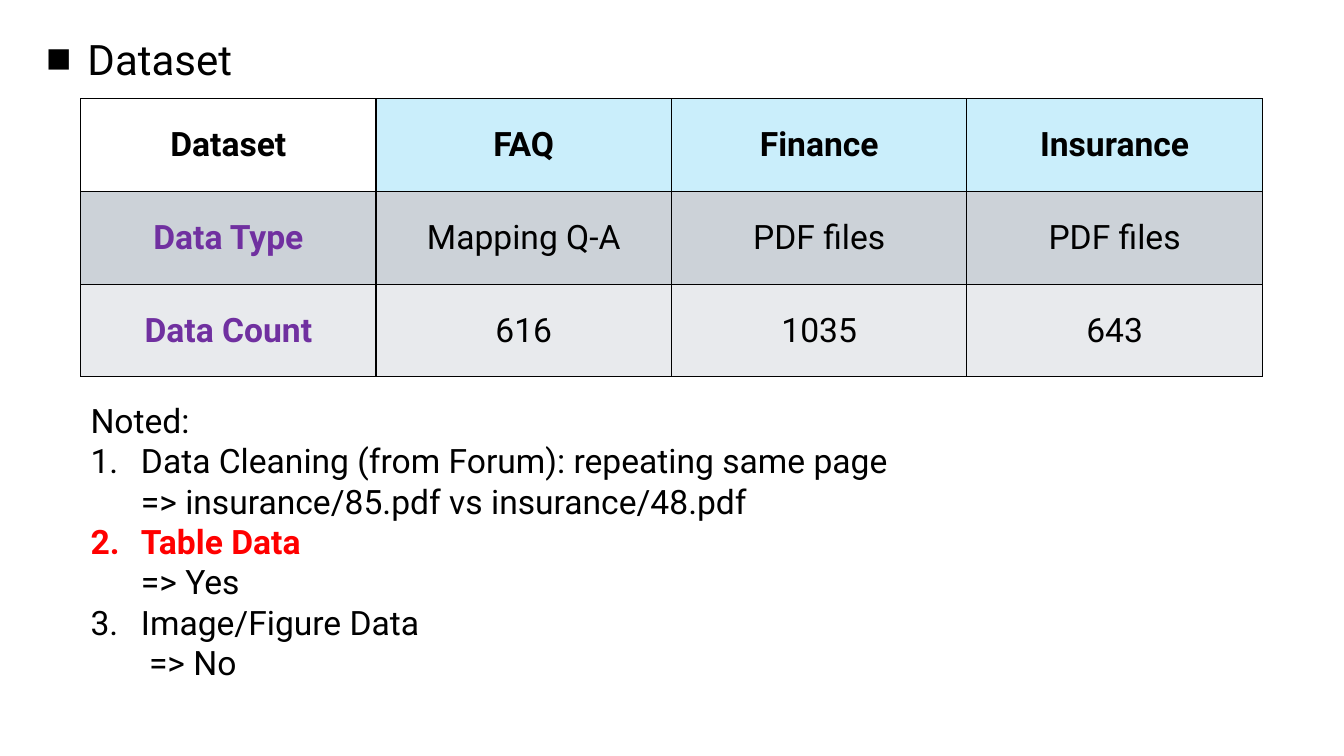
import pptx
import pptx.dml.color
import pptx.enum.text
import pptx.oxml
import pptx.oxml.ns
import pptx.util

RGBColor = pptx.dml.color.RGBColor
BLACK = RGBColor(0x00, 0x00, 0x00)
WHITE = RGBColor(0xFF, 0xFF, 0xFF)
RED = RGBColor(0xFF, 0x00, 0x00)
PURPLE = RGBColor(0x70, 0x30, 0xA0)
SKY = RGBColor(0xCA, 0xEE, 0xFB)
GREY = RGBColor(0xCC, 0xD2, 0xD8)
PALE_GREY = RGBColor(0xE8, 0xEA, 0xED)

FONT = "Roboto"
PX = 9144  # EMU in one px, 100 px to the inch
TITLE_SIZE, BODY_SIZE = 30, 24

TITLE = "Dataset"
TITLE_BOX = (36, 28, 1264, 61)
TITLE_INDENT = 41

TABLE_ROWS = [
    ("Dataset", "FAQ", "Finance", "Insurance"),
    ("Data Type", "Mapping Q-A", "PDF files", "PDF files"),
    ("Data Count", "616", "1035", "643"),
]
ROW_FILLS = [SKY, GREY, PALE_GREY]
TABLE_LEFT, TABLE_TOP = 80, 98
COLUMN_WIDTH, ROW_HEIGHT = 293, 92

NOTES_BOX = (80, 392, 1220, 293)
NUMBERED = '<a:buFont {} typeface="+mj-lt"/>', '<a:buAutoNum {} type="arabicPeriod"/>'
SQUARE = '<a:buFont {} typeface="Arial"/>', '<a:buChar {} char="■"/>'
# text, level, left margin, first-line indent, bullet, colour, bold
NOTES = [
    ("Noted:", 0, 0, 0, (), BLACK, False),
    ("Data Cleaning (from Forum): repeating same page", 0, 50, -50, NUMBERED, BLACK, False),
    ("=> insurance/85.pdf vs insurance/48.pdf", 1, 50, 0, (), BLACK, False),
    ("Table Data", 0, 50, -50, NUMBERED, RED, True),
    ("=> Yes", 1, 50, 0, (), BLACK, False),
    ("Image/Figure Data", 0, 50, -50, NUMBERED, BLACK, False),
    ("=> No", 0, 58, 0, (), BLACK, False),
]


def write(paragraph, text, size, color=BLACK, bold=False):
    paragraph.text = text
    font = paragraph.runs[0].font
    font.name = FONT
    font.size = pptx.util.Pt(size)
    font.color.rgb = color
    font.bold = bold


def indent(paragraph, margin, first_line, bullet):
    properties = paragraph._p.get_or_add_pPr()
    properties.set("marL", str(margin * PX))
    properties.set("indent", str(first_line * PX))
    for template in bullet:
        xml = template.format(pptx.oxml.ns.nsdecls("a"))
        properties.append(pptx.oxml.parse_xml(xml))


def add_text_frame(slide, box):
    text_frame = slide.shapes.add_textbox(*(length * PX for length in box)).text_frame
    text_frame.word_wrap = True
    text_frame.auto_size = pptx.enum.text.MSO_AUTO_SIZE.SHAPE_TO_FIT_TEXT
    return text_frame


def add_borders(cell):
    """Draw a 1 pt black line on each side of the cell."""
    properties = cell._tc.get_or_add_tcPr()
    for position, side in enumerate(("lnL", "lnR", "lnT", "lnB")):
        line = pptx.oxml.parse_xml(
            f'<a:{side} {pptx.oxml.ns.nsdecls("a")} w="{pptx.util.Pt(1)}">'
            f'<a:solidFill><a:srgbClr val="{BLACK}"/></a:solidFill></a:{side}>'
        )
        properties.insert(position, line)


def add_dataset_table(slide):
    row_count, column_count = len(TABLE_ROWS), len(TABLE_ROWS[0])
    table = slide.shapes.add_table(
        row_count, column_count, TABLE_LEFT * PX, TABLE_TOP * PX,
        column_count * COLUMN_WIDTH * PX, row_count * ROW_HEIGHT * PX,
    ).table
    for row, texts in enumerate(TABLE_ROWS):
        table.rows[row].height = ROW_HEIGHT * PX
        for column, text in enumerate(texts):
            cell = table.cell(row, column)
            is_corner = row == 0 and column == 0
            is_row_label = row > 0 and column == 0
            cell.fill.solid()
            cell.fill.fore_color.rgb = WHITE if is_corner else ROW_FILLS[row]
            cell.vertical_anchor = pptx.enum.text.MSO_ANCHOR.MIDDLE
            paragraph = cell.text_frame.paragraphs[0]
            paragraph.alignment = pptx.enum.text.PP_ALIGN.CENTER
            write(paragraph, text, BODY_SIZE,
                  PURPLE if is_row_label else BLACK, row == 0 or column == 0)
            add_borders(cell)


def add_notes_list(slide):
    text_frame = add_text_frame(slide, NOTES_BOX)
    for index, (text, level, margin, first_line, bullet, color, bold) in enumerate(NOTES):
        paragraph = text_frame.add_paragraph() if index else text_frame.paragraphs[0]
        write(paragraph, text, BODY_SIZE, color, bold)
        paragraph.level = level
        indent(paragraph, margin, first_line, bullet)


def main():
    presentation = pptx.Presentation()
    presentation.slide_width = 1333 * PX
    presentation.slide_height = 750 * PX
    slide = presentation.slides.add_slide(presentation.slide_layouts[6])

    title = add_text_frame(slide, TITLE_BOX).paragraphs[0]
    write(title, TITLE, TITLE_SIZE)
    indent(title, TITLE_INDENT, -TITLE_INDENT, SQUARE)
    add_dataset_table(slide)
    add_notes_list(slide)
    presentation.save("out.pptx")


if __name__ == "__main__":
    main()
